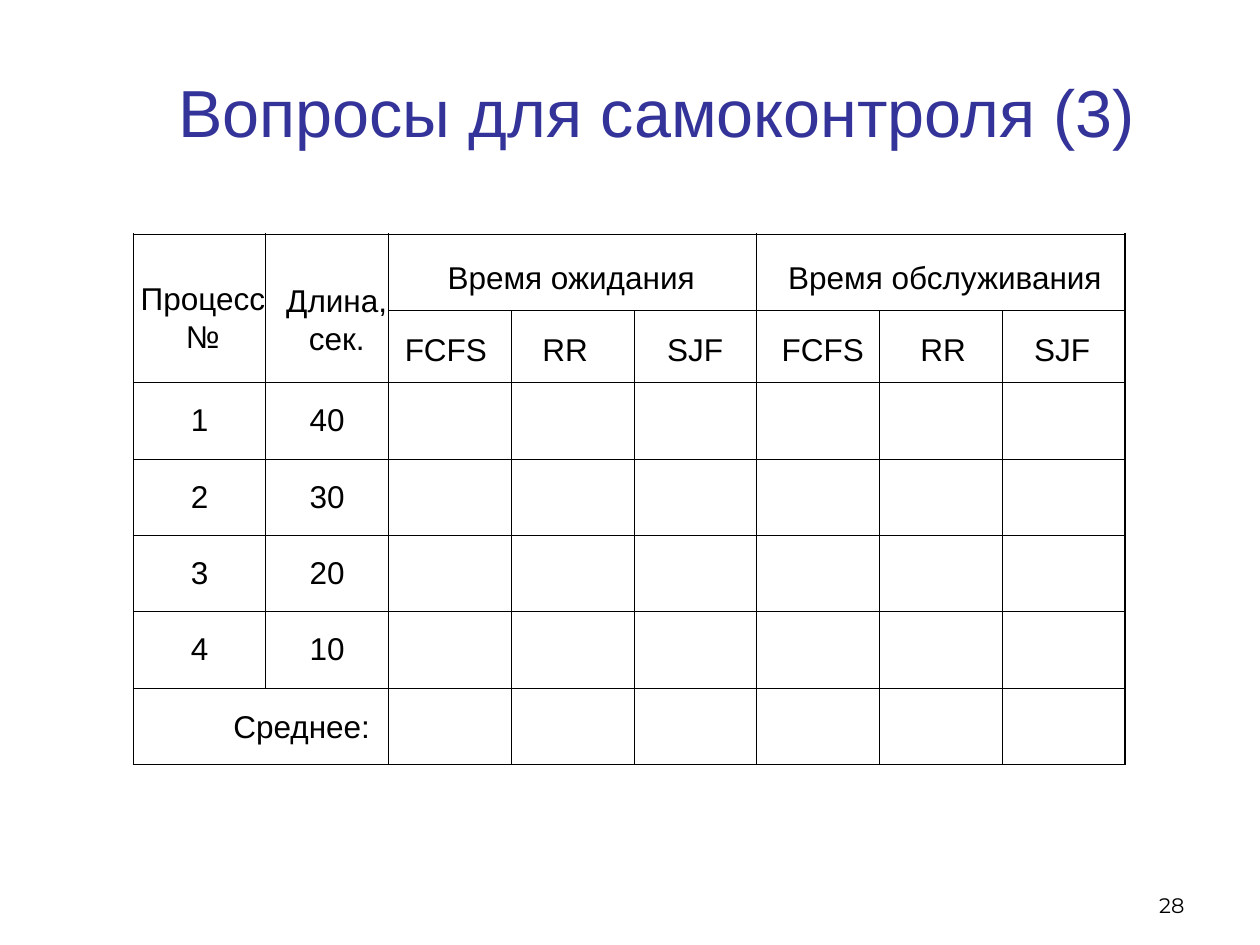
from lxml.etree import SubElement
from pptx import Presentation
from pptx.dml.color import RGBColor
from pptx.enum.text import MSO_ANCHOR, MSO_AUTO_SIZE, PP_ALIGN
from pptx.oxml.ns import qn
from pptx.util import Inches, Pt

COLORS = {"title": "333399", "ink": "000000"}
PAGE_WIDTH, PAGE_HEIGHT = 10, 7.5
ROWS, COLUMNS = 7, 8
FIRST_COLUMN, SECOND_ROW = 1.05, 0.57
OUTER_LINE, INNER_LINE = 1.08, 0.45
LENGTHS = {1: 40, 2: 30, 3: 20, 4: 10}
CELL_GROUPS = [
    {(0, 0), (1, 0)},
    {(0, 1), (1, 1)},
    {(0, 2), (0, 3), (0, 4)},
    {(0, 5), (0, 6), (0, 7)},
    {(6, 0), (6, 1)},
]
SIDES = {"lnL": (0, -1), "lnR": (0, 1), "lnT": (-1, 0), "lnB": (1, 0)}
LABELS = [
    ("Процесс №", -0.08, 0.51, 1.29, 1.15),
    ("Длина, сек.", 1.13, 0.53, 1.05, 1.15),
    ("Время обслуживания", 5.15, 0.23, 2.92, 0.66),
    ("Время ожидания", 2.07, 0.23, 2.99, 0.66),
    ("FCFS", 2.1, 1.17, 0.89, 0.66),
    ("RR", 3.15, 1.17, 0.73, 0.66),
    ("RR", 6.23, 1.17, 0.73, 0.66),
    ("FCFS", 5.17, 1.17, 0.89, 0.66),
    ("SJF", 4.21, 1.17, 0.73, 0.66),
    ("SJF", 7.2, 1.17, 0.73, 0.66),
    ("Среднее:", 0.56, 6.1, 1.62, 0.66),
]


def write(frame, text, size, color="ink", font="Arial", align=PP_ALIGN.CENTER):
    """Put one formatted paragraph into a text frame."""
    frame.text = text
    para = frame.paragraphs[0]
    para.alignment = align
    for span in para.runs:
        span.font.size = Pt(size)
        span.font.name = font
        span.font.color.rgb = RGBColor.from_string(COLORS[color])


def border_width(row, column, step):
    """Return the line width of one cell side, or 0 inside a joined group."""
    neighbour = (row + step[0], column + step[1])
    if not (0 <= neighbour[0] < ROWS and 0 <= neighbour[1] < COLUMNS):
        return OUTER_LINE
    joined = any({(row, column), neighbour} <= group for group in CELL_GROUPS)
    return 0 if joined else INNER_LINE


def draw_borders(cell, row, column):
    """Draw the four sides of a table cell."""
    properties = cell._tc.get_or_add_tcPr()
    for tag, step in SIDES.items():
        width = border_width(row, column, step)
        line = SubElement(properties, qn(f"a:{tag}"), w=str(Pt(width)))
        if width:
            fill = SubElement(line, qn("a:solidFill"))
            SubElement(fill, qn("a:srgbClr"), val=COLORS["ink"])
        else:
            SubElement(line, qn("a:noFill"))
    cell.fill.background()


def add_title(page, left, top, width, height):
    """Place the slide title in its box."""
    title = page.shapes.title
    title.left, title.top = Inches(left), Inches(top)
    title.width, title.height = Inches(width), Inches(height)
    frame = title.text_frame
    write(frame, "Вопросы для самоконтроля (3)", 38, "title")
    frame.auto_size = MSO_AUTO_SIZE.NONE
    frame.vertical_anchor = MSO_ANCHOR.MIDDLE
    frame.margin_left = Inches(0.53)


def add_schedule(page, left, top, width, height):
    """Place the process table and its heading labels."""
    column_unit = (width - FIRST_COLUMN) / (COLUMNS - 1)
    row_unit = (height - SECOND_ROW) / (ROWS - 1)
    box = [Inches(value) for value in (left, top, width, height)]
    table = page.shapes.add_table(ROWS, COLUMNS, *box).table
    table.first_row = table.horz_banding = False
    for index, column in enumerate(table.columns):
        column.width = Inches(column_unit if index else FIRST_COLUMN)
    for index, row in enumerate(table.rows):
        row.height = Inches(SECOND_ROW if index == 1 else row_unit)
        for position, cell in enumerate(row.cells):
            draw_borders(cell, index, position)
            cell.vertical_anchor = MSO_ANCHOR.MIDDLE
    for number, length in LENGTHS.items():
        for position, value in enumerate((number, length)):
            write(table.cell(number + 1, position).text_frame, str(value), 18)
    for text, column, row, columns, rows in LABELS:
        label = page.shapes.add_textbox(
            Inches(left + column * column_unit), Inches(top + row * row_unit),
            Inches(columns * column_unit), Inches(rows * row_unit))
        label.text_frame.word_wrap = True
        label.text_frame.auto_size = MSO_AUTO_SIZE.SHAPE_TO_FIT_TEXT
        write(label.text_frame, text, 18)


def add_page_number(page, left, top, width, height):
    """Place the page number at the bottom right of its box."""
    box = [Inches(value) for value in (left, top, width, height)]
    frame = page.shapes.add_textbox(*box).text_frame
    frame.word_wrap = True
    frame.vertical_anchor = MSO_ANCHOR.BOTTOM
    write(frame, "28", 12, font="Montserrat", align=PP_ALIGN.RIGHT)


def main():
    """Build and save the slide."""
    deck = Presentation()
    deck.slide_width, deck.slide_height = Inches(PAGE_WIDTH), Inches(PAGE_HEIGHT)
    page = deck.slides.add_slide(deck.slide_layouts[5])
    add_title(page, 0.05 * PAGE_WIDTH, 0.13, 0.9 * PAGE_WIDTH, 0.2 * PAGE_HEIGHT)
    add_schedule(page, 1.06, 1.86, 7.87, 4.21)
    add_page_number(page, 7.17, 6.83, 2.33, 0.5)
    deck.save("out.pptx")


if __name__ == "__main__":
    main()
